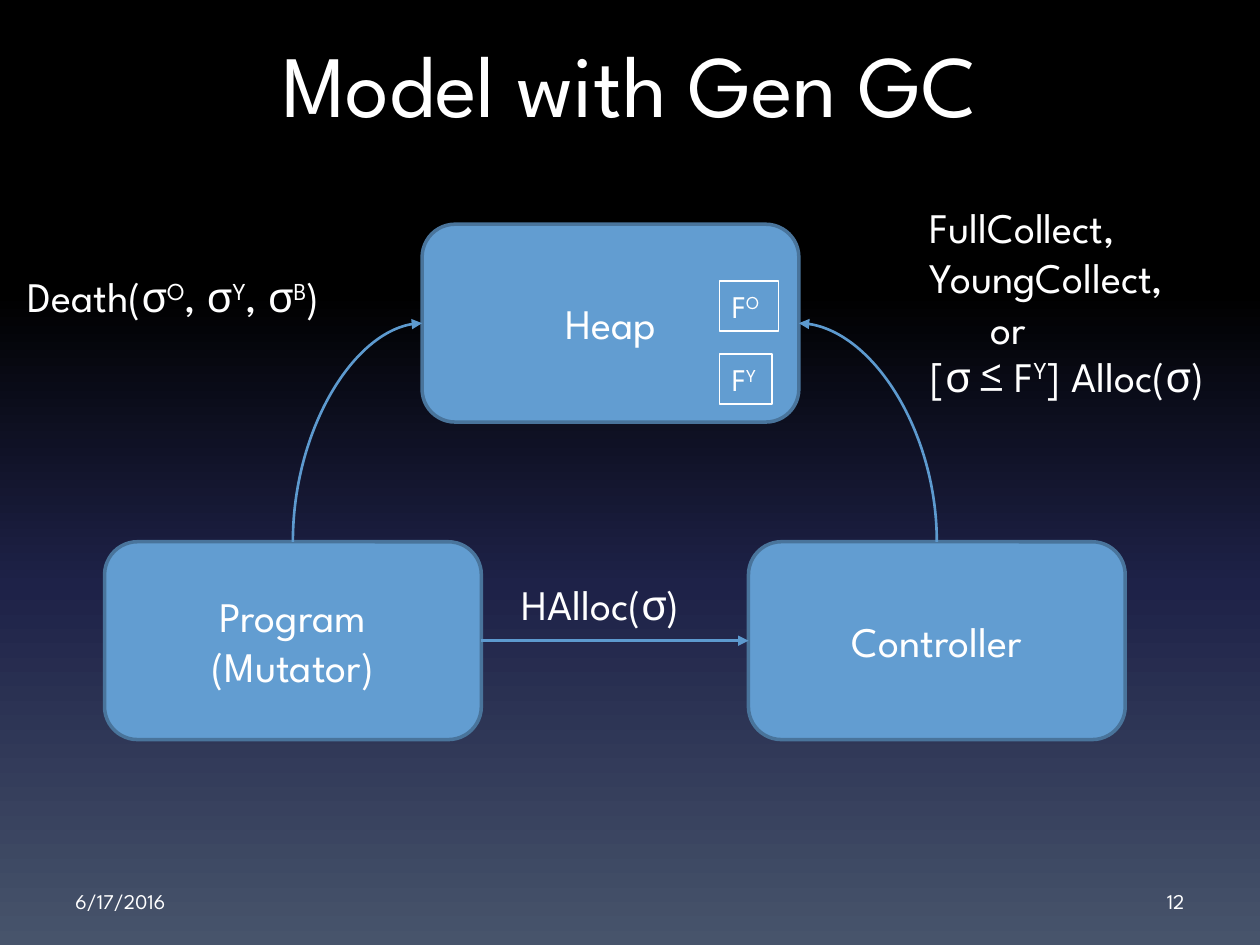
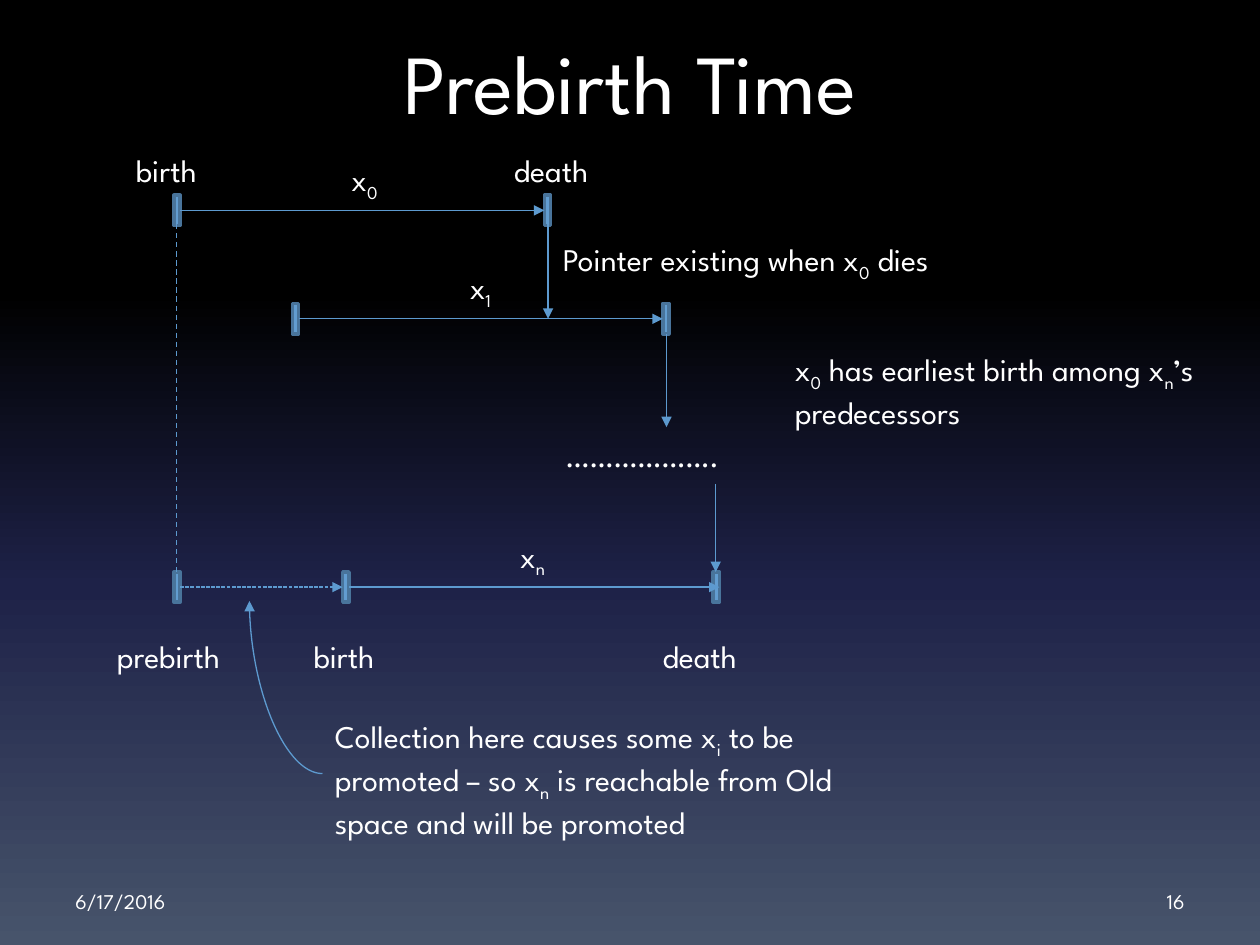
from dataclasses import dataclass

from lxml.etree import SubElement
from pptx import Presentation
from pptx.dml.color import RGBColor
from pptx.enum.dml import MSO_LINE_DASH_STYLE as Dash
from pptx.enum.shapes import MSO_CONNECTOR as Connector, MSO_SHAPE as Shape
from pptx.enum.text import MSO_ANCHOR as Anchor, MSO_AUTO_SIZE as AutoSize, PP_ALIGN as Align
from pptx.oxml.ns import qn
from pptx.util import Inches, Pt

FONT = "League Spartan"
COLORS = {
    "text": "FFFFFF",
    "box": "629DD1",
    "edge": "49749B",
    "arrow": "5D9ACF",
}
BACKGROUND = [(0, "000000"), (31, "000000"), (62, "1E2248"), (100, "47546B")]
SUPERSCRIPT, SUBSCRIPT = 30000, -25000
TOP, LEFT, RIGHT = 0, 1, 3


@dataclass
class Label:
    text: str
    left: float
    top: float
    width: float
    height: float = 0.4
    size: float = 18
    script: int = SUBSCRIPT
    wrap: bool = False
    framed: bool = False


@dataclass
class Lifetime:
    name: str
    birth: float
    top: float
    reach: float


@dataclass
class Arrow:
    start: tuple[float, float]
    end: tuple[float, float]
    dash: Dash | None = None
    pointed: bool = True


def color(name: str) -> RGBColor:
    return RGBColor.from_string(COLORS[name])


def write(shape, text: str, size: float, align: Align = Align.LEFT, script: int = 0) -> None:
    frame = shape.text_frame
    for index, line in enumerate(text.split("\n")):
        para = frame.add_paragraph() if index else frame.paragraphs[0]
        para.alignment = align
        for position, piece in enumerate(line.split("|")):
            span = para.add_run()
            span.text = piece
            span.font.name = FONT
            span.font.size = Pt(size)
            span.font.color.rgb = color("text")
            if position % 2:
                span.font._element.set("baseline", str(script))


def add_text(page, text: str, place: tuple, size: float, align: Align, anchor: Anchor) -> None:
    box = page.shapes.add_textbox(*map(Inches, place))
    box.text_frame.word_wrap = True
    box.text_frame.vertical_anchor = anchor
    write(box, text, size, align)


def add_label(page, label: Label):
    place = map(Inches, (label.left, label.top, label.width, label.height))
    box = page.shapes.add_textbox(*place)
    box.text_frame.word_wrap = label.wrap
    box.text_frame.auto_size = AutoSize.SHAPE_TO_FIT_TEXT
    if label.framed:
        box.line.color.rgb = color("text")
        box.line.width = Pt(1)
    write(box, label.text, label.size, script=label.script)
    return box


def add_block(page, kind: Shape, left: float, top: float, width: float, height: float):
    block = page.shapes.add_shape(kind, *map(Inches, (left, top, width, height)))
    block.shadow.inherit = False
    block.fill.solid()
    block.fill.fore_color.rgb = color("box")
    block.line.color.rgb = color("edge")
    block.line.width = Pt(2)
    return block


def add_component(page, text: str, left: float, top: float):
    box = add_block(page, Shape.ROUNDED_RECTANGLE, left, top, 2.99, 1.57)
    box.text_frame.vertical_anchor = Anchor.MIDDLE
    write(box, text, 24, Align.CENTER)
    return box


def style_connector(connector, width: float, point: str | None, dash: Dash | None = None) -> None:
    connector.line.color.rgb = color("arrow")
    connector.line.width = Pt(width)
    if dash:
        connector.line.dash_style = dash
    if point:
        SubElement(connector.line._get_or_add_ln(), qn(f"a:{point}"), type="triangle")
    SubElement(connector._element.spPr, qn("a:effectLst"))


def make_quarter_curve(connector) -> None:
    connector._element.spPr.find(qn("a:prstGeom")).set("prst", "curvedConnector2")


def add_link(page, start, start_site: int, end, end_site: int, point: str):
    link = page.shapes.add_connector(Connector.CURVE, 0, 0, 0, 0)
    link.begin_connect(start, start_site)
    link.end_connect(end, end_site)
    style_connector(link, 1.5, point)
    return link


def add_arrow(page, arrow: Arrow, kind: Connector = Connector.STRAIGHT):
    line = page.shapes.add_connector(kind, *map(Inches, arrow.start + arrow.end))
    style_connector(line, 0.75, "tailEnd" if arrow.pointed else None, arrow.dash)
    return line


def add_tick(page, left: float, top: float) -> None:
    add_block(page, Shape.RECTANGLE, left, top, 0.05, 0.24)


def add_lifetime(page, life: Lifetime) -> None:
    middle = life.top + 0.12
    for left in (life.birth, life.birth + 2.94):
        add_tick(page, left, life.top)
    add_arrow(page, Arrow((life.birth + 0.05, middle), (life.reach, middle)))
    add_label(page, Label(life.name, life.birth + 1.31, life.top - 0.33, 0.42))


def add_page(deck, title: str, title_size: float, number: int):
    page = deck.slides.add_slide(deck.slide_layouts[6])
    fill = page.background.fill
    fill.gradient()
    fill.gradient_angle = 270
    stops = next(page._element.iter(qn("a:gsLst")))
    stops.clear()
    for percent, shade in BACKGROUND:
        stop = SubElement(stops, qn("a:gs"), pos=str(percent * 1000))
        SubElement(stop, qn("a:srgbClr"), val=shade)
    add_text(page, title, (0.5, 0.19, 9, 1.25), title_size, Align.CENTER, Anchor.TOP)
    add_text(page, "6/17/2016", (0.5, 6.95, 2.33, 0.4), 12, Align.LEFT, Anchor.MIDDLE)
    add_text(page, str(number), (7.17, 6.95, 2.33, 0.4), 12, Align.RIGHT, Anchor.MIDDLE)
    return page


def build_model(deck) -> None:
    page = add_page(deck, "Model with Gen GC", 50, 12)
    program = add_component(page, "Program\n(Mutator)", 0.83, 4.3)
    controller = add_component(page, "Controller", 5.94, 4.3)
    heap = add_component(page, "Heap", 3.35, 1.78)
    add_link(page, program, RIGHT, controller, LEFT, "tailEnd")
    for side, source in ((RIGHT, controller), (LEFT, program)):
        make_quarter_curve(add_link(page, heap, side, source, TOP, "headEnd"))
    collect = add_label(page, Label("FullCollect,\nYoungCollect,\nor", 7.28, 1.55, 2.53, 1.31, 24, wrap=True))
    collect.text_frame.paragraphs[2]._p.get_or_add_pPr().set("marL", str(Inches(0.48)))
    for label in (
        Label("HAlloc(σ)", 4.04, 4.54, 1.74, 0.5, 24),
        Label("Death(σ|O|, σ|Y|, σ|B|)", 0.12, 2.1, 3.02, 0.5, 24, SUPERSCRIPT),
        Label("[σ ≤ F|Y|] Alloc(σ)", 7.29, 2.73, 2.75, 0.5, 24, SUPERSCRIPT),
        Label("F|Y|", 5.71, 2.81, 0.42, script=SUPERSCRIPT, framed=True),
        Label("F|O|", 5.71, 2.23, 0.47, script=SUPERSCRIPT, framed=True),
    ):
        add_label(page, label)


def build_prebirth(deck) -> None:
    page = add_page(deck, "Prebirth Time", 48, 16)
    for life in (
        Lifetime("x|0|", 1.38, 1.55, 4.32),
        Lifetime("x|1|", 2.32, 2.41, 5.26),
        Lifetime("x|n|", 2.72, 4.54, 5.71),
    ):
        add_lifetime(page, life)
    add_tick(page, 1.38, 4.54)
    for arrow in (
        Arrow((4.35, 1.78), (4.35, 2.53)),
        Arrow((5.29, 2.65), (5.29, 3.39)),
        Arrow((5.68, 3.84), (5.68, 4.54)),
        Arrow((1.43, 4.66), (2.72, 4.66), Dash.SQUARE_DOT),
        Arrow((1.4, 1.78), (1.4, 4.54), Dash.DASH, pointed=False),
    ):
        add_arrow(page, arrow)
    make_quarter_curve(add_arrow(page, Arrow((2.56, 6.14), (1.98, 4.77)), Connector.CURVE))
    for label in (
        Label("birth", 0.98, 1.15, 0.74),
        Label("death", 3.98, 1.15, 0.95),
        Label("prebirth", 0.83, 5.01, 1.15),
        Label("birth", 2.39, 5.01, 0.74),
        Label("death", 5.16, 5.01, 0.95),
        Label("Pointer existing when x|0| dies", 4.37, 1.86, 3.66),
        Label("…" * 6 + ".", 4.39, 3.41, 1.79),
        Label(
            "Collection here causes some x|i| to be promoted – so x|n| is reachable "
            "from Old space and will be promoted",
            2.56, 5.64, 4.72, 1.01, wrap=True,
        ),
        Label("x|0| has earliest birth among x|n|’s predecessors", 6.21, 2.73, 3.52, 0.71, wrap=True),
    ):
        add_label(page, label)


deck = Presentation()
deck.slide_width, deck.slide_height = Inches(10), Inches(7.5)
build_model(deck)
build_prebirth(deck)
deck.save("out.pptx")
